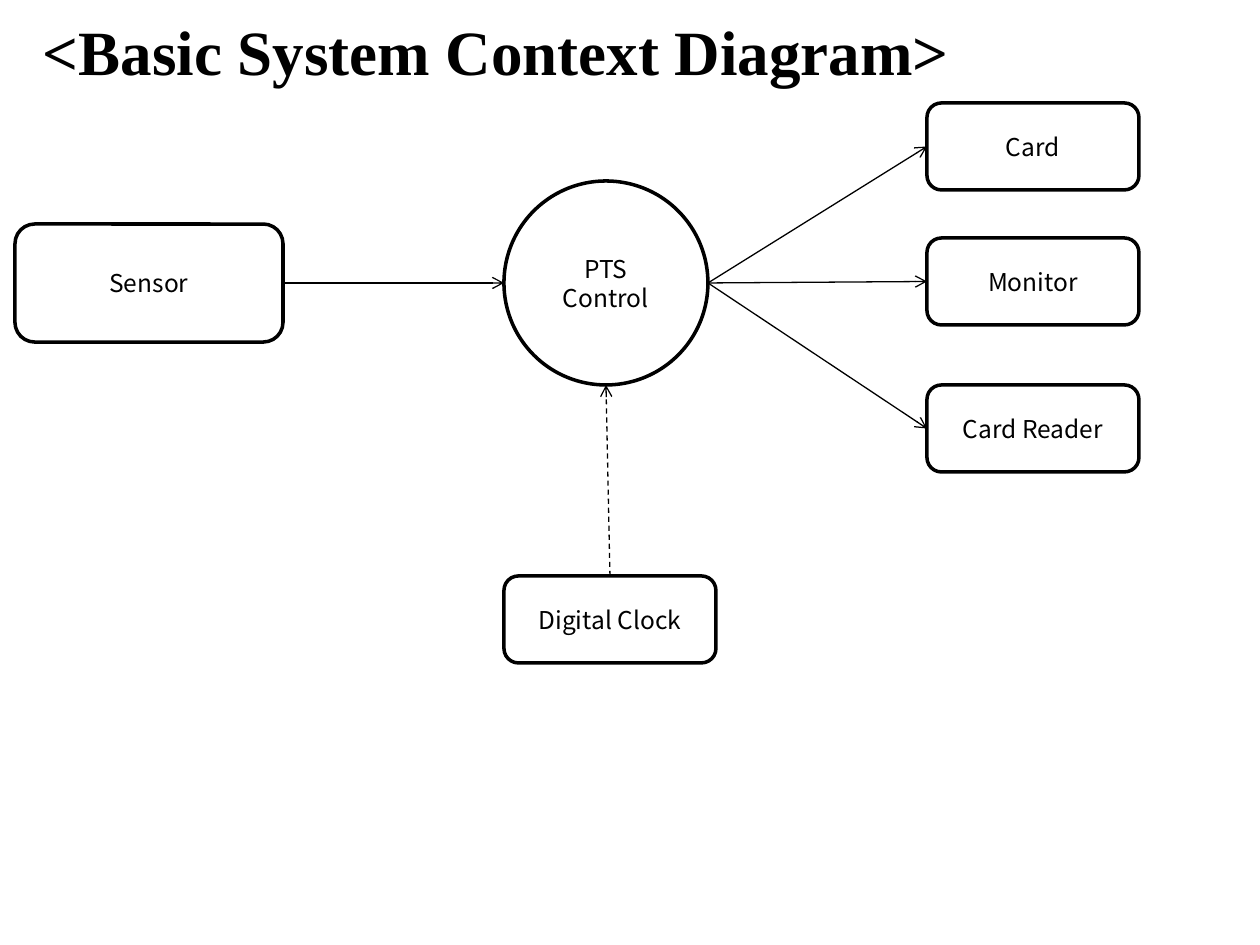
from dataclasses import dataclass

from lxml import etree
from pptx import Presentation
from pptx.dml.color import RGBColor
from pptx.enum.dml import MSO_LINE
from pptx.enum.shapes import MSO_CONNECTOR, MSO_SHAPE
from pptx.enum.text import MSO_ANCHOR, MSO_AUTO_SIZE, PP_ALIGN
from pptx.oxml.ns import qn
from pptx.util import Pt

ROUND = MSO_SHAPE.ROUNDED_RECTANGLE
OVAL = MSO_SHAPE.OVAL
RECT = MSO_SHAPE.RECTANGLE
STRAIGHT = MSO_CONNECTOR.STRAIGHT
DASH = MSO_LINE.DASH
MIDDLE, TOP = MSO_ANCHOR.MIDDLE, MSO_ANCHOR.TOP
GROW = MSO_AUTO_SIZE.SHAPE_TO_FIT_TEXT
CENTER = PP_ALIGN.CENTER


@dataclass(frozen=True)
class Theme:
    ink: str = "000000"
    paper: str = "FFFFFF"
    edge: str = "595959"
    body: str = "Noto Sans CJK KR"
    head: str = "Times New Roman"
    small: int = 14
    large: int = 36
    border: float = 2
    wire: float = 0.75


def px(n):
    return round(n * 914400 / 126)


def rgb(code):
    return RGBColor.from_string(code)


def write(frame, text, *, font, size, color, bold=False, anchor=MIDDLE):
    """Fill a text frame, one paragraph for each line of text."""
    frame.word_wrap = True
    frame.vertical_anchor = anchor
    frame.text = text
    for para in frame.paragraphs:
        para.alignment = CENTER
        for run in para.runs:
            run.font.name = font
            run.font.size = Pt(size)
            run.font.bold = bold
            run.font.color.rgb = rgb(color)


def outline(run, color, width):
    """Put a line around the letters of a run."""
    line = etree.Element(qn("a:ln"), w=str(Pt(width)))
    fill = etree.SubElement(line, qn("a:solidFill"))
    etree.SubElement(fill, qn("a:srgbClr"), val=color)
    run.font._element.insert(0, line)


class Sketch:
    def __init__(self, slide, theme):
        self.slide = slide
        self.theme = theme

    def shape(self, kind, x, y, w, h):
        item = self.slide.shapes.add_shape(kind, px(x), px(y), px(w), px(h))
        item.shadow.inherit = False
        item.fill.solid()
        item.fill.fore_color.rgb = rgb(self.theme.paper)
        return item

    def title(self, text, x, y, w, h):
        look = self.theme
        item = self.shape(RECT, x, y, w, h)
        item.line.fill.background()
        write(item.text_frame, text, font=look.head, size=look.large,
              color=look.ink, bold=True, anchor=TOP)
        item.text_frame.auto_size = GROW
        outline(item.text_frame.paragraphs[0].runs[0], look.edge, look.border)

    def node(self, text, x, y, w, h, kind=ROUND):
        look = self.theme
        item = self.shape(kind, x, y, w, h)
        item.line.color.rgb = rgb(look.ink)
        item.line.width = Pt(look.border)
        write(item.text_frame, text, font=look.body, size=look.small,
              color=look.ink)
        return item

    def arrow(self, start, end, dash=None):
        item = self.slide.shapes.add_connector(STRAIGHT, *start, *end)
        item.line.color.rgb = rgb(self.theme.ink)
        item.line.width = Pt(self.theme.wire)
        if dash:
            item.line.dash_style = dash
        props = item._element.spPr
        etree.SubElement(props.find(qn("a:ln")), qn("a:tailEnd"), type="arrow")
        etree.SubElement(props, qn("a:effectLst"))


def port(item, across, down):
    """Point on a shape, given as shares of its width and height."""
    return (item.left + round(item.width * across),
            item.top + round(item.height * down))


def left(item):
    return port(item, 0, 0.5)


def right(item):
    return port(item, 1, 0.5)


def main():
    deck = Presentation()
    deck.slide_width, deck.slide_height = px(1260), px(945)
    sketch = Sketch(deck.slides.add_slide(deck.slide_layouts[6]), Theme())

    sketch.title("<Basic System Context Diagram>", 5, 6, 982, 90)
    sensor = sketch.node("Sensor", 15, 224, 268, 118)
    control = sketch.node("PTS\nControl", 504, 181, 204, 204, OVAL)
    clock = sketch.node("Digital Clock", 504, 576, 212, 87)

    sketch.arrow(right(sensor), left(control))
    for text, y in (("Card", 103), ("Monitor", 238), ("Card Reader", 385)):
        output = sketch.node(text, 927, y, 212, 87)
        sketch.arrow(right(control), left(output))
    sketch.arrow(port(clock, 0.5, 0), port(control, 0.5, 1), DASH)

    deck.save("out.pptx")


if __name__ == "__main__":
    main()
